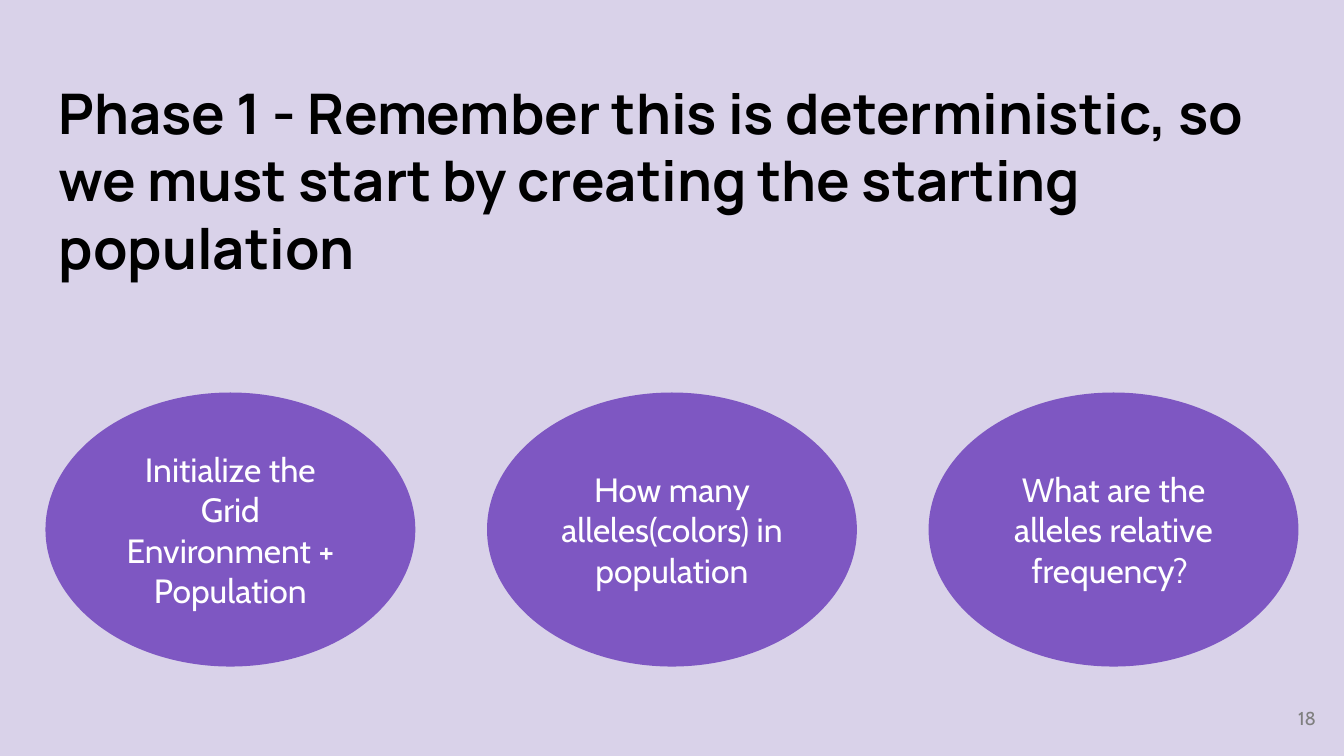
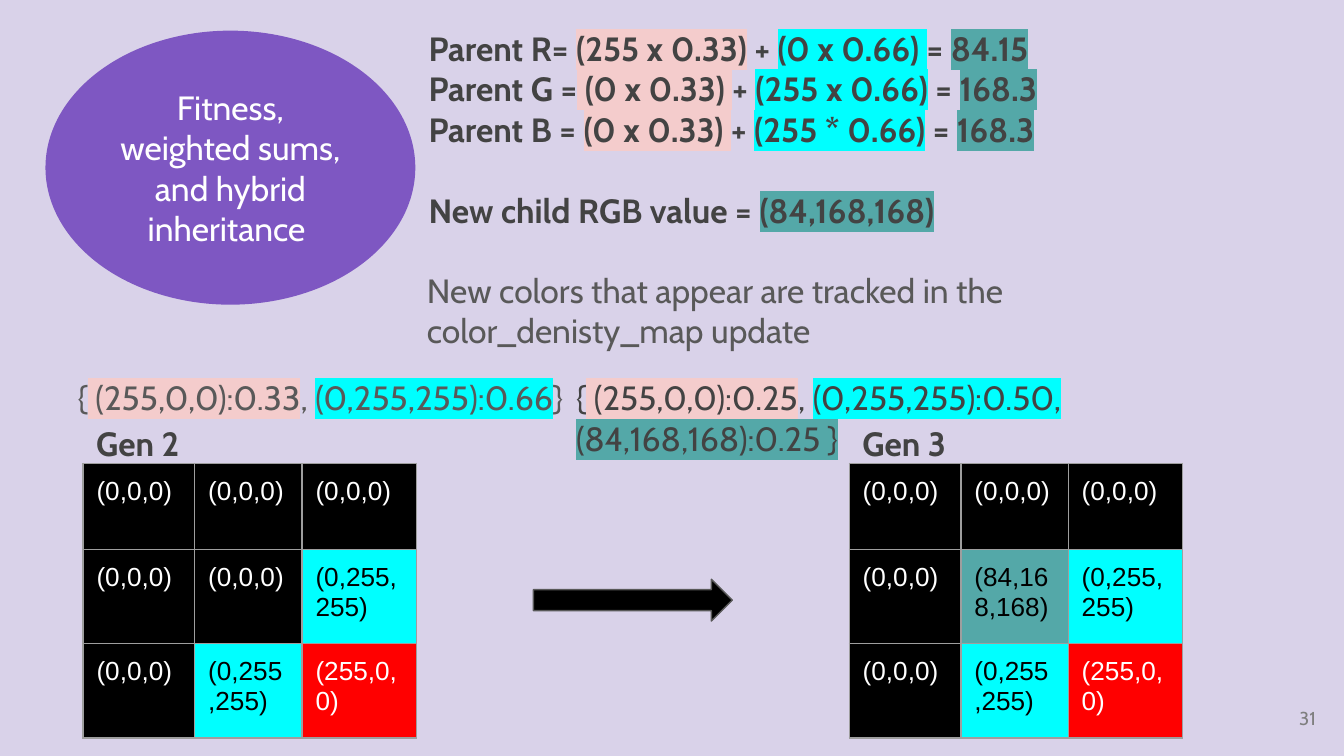
from dataclasses import dataclass

from lxml.etree import SubElement
from pptx import Presentation
from pptx.dml.color import RGBColor
from pptx.enum.shapes import MSO_SHAPE
from pptx.enum.text import MSO_ANCHOR, PP_ALIGN
from pptx.oxml import parse_xml
from pptx.oxml.ns import nsdecls, qn
from pptx.util import Cm, Pt


@dataclass(frozen=True)
class Theme:
    background: str = "D9D2E9"
    bubble: str = "7E57C2"
    white: str = "FFFFFF"
    black: str = "000000"
    dark: str = "434343"
    grey: str = "595959"
    page_grey: str = "7F7F7F"
    grid_line: str = "9E9E9E"
    pink: str = "F4CCCC"
    cyan: str = "00FFFF"
    teal: str = "54A8A8"
    title_font: str = "Manrope"
    body_font: str = "Cabin"
    cell_font: str = "Arial"
    title_size: int = 30
    body_size: int = 18
    cell_size: int = 14
    page_size: int = 10


THEME = Theme()
PINK, CYAN, TEAL = THEME.pink, THEME.cyan, THEME.teal

# Content: a paragraph is a list of (text, highlight) runs
TITLE = ("Phase 1 - Remember this is deterministic, so we must start by "
         "creating the starting population")
PHASE_STEPS = [
    "Initialize the Grid Environment + Population",
    "How many alleles(colors) in population",
    "What are the alleles relative frequency? ",
]
INHERITANCE = "Fitness, weighted sums, and hybrid inheritance "
PARENT_SUMS = [
    [("Parent R= ", None), ("(255 x 0.33)", PINK), (" + ", None),
     ("(0 x 0.66) ", CYAN), ("= ", None), ("84.15", TEAL)],
    [("Parent G =", None), (" (0 x 0.33) ", PINK), ("+ ", None),
     ("(255 x 0.66)", CYAN), (" = ", None), ("168.3", TEAL)],
    [("Parent B = ", None), ("(0 x 0.33) ", PINK), ("+ ", None),
     ("(255 * 0.66)", CYAN), (" = ", None), ("168.3", TEAL)],
    [("New child RGB value = ", None), ("(84,168,168)", TEAL)],
]
TRACKING_NOTE = "New colors that appear are tracked in the color_denisty_map update"
DENSITY_BEFORE = [("{", None), (" (255,0,0):0.33", PINK), (", ", None),
                  ("(0,255,255):0.66", CYAN), ("}", None)]
DENSITY_AFTER = [("{", None), (" (255,0,0):0.25", PINK), (", ", None),
                 ("(0,255,255):0.50,", CYAN), (" ", None),
                 ("(84,168,168):0.25 }", TEAL), (" ", None)]

EMPTY, AQUA, RED, CHILD = (0, 0, 0), (0, 255, 255), (255, 0, 0), (84, 168, 168)
GENERATIONS = [  # label, left edge in cm, colours of the grid
    ("Gen 2", 1.57, [[EMPTY, EMPTY, EMPTY], [EMPTY, EMPTY, AQUA], [EMPTY, AQUA, RED]]),
    ("Gen 3", 16.05, [[EMPTY, EMPTY, EMPTY], [EMPTY, CHILD, AQUA], [EMPTY, AQUA, RED]]),
]

# Layout in cm
SLIDE_WIDTH, SLIDE_HEIGHT = 25.4, 14.29
MARGIN = 0.86
INSET = Cm(0.25)
BUBBLE_WIDTH, BUBBLE_HEIGHT = 6.99, 5.18
GRID_TOP = 8.76
COLUMN_WIDTHS = [2.11, 2.03, 2.16]
ROW_HEIGHTS = [1.63, 1.78, 1.78]


def add_run(paragraph, text, color, size=THEME.body_size, font=THEME.body_font,
            bold=False, highlight=None):
    run = paragraph.add_run()
    run.text = text
    run.font.size = Pt(size)
    run.font.bold = bold
    run.font.name = font
    run.font.color.rgb = RGBColor.from_string(color)
    if highlight:
        mark = parse_xml(f'<a:highlight {nsdecls("a")}>'
                         f'<a:srgbClr val="{highlight}"/></a:highlight>')
        run._r.get_or_add_rPr().find(qn("a:solidFill")).addnext(mark)


def set_frame(frame, anchor):
    frame.word_wrap = True
    frame.vertical_anchor = anchor
    frame.margin_top = frame.margin_bottom = INSET


def add_text(slide, box, paragraphs, color, align=PP_ALIGN.LEFT,
             anchor=MSO_ANCHOR.TOP, **style):
    """Add a text box; each paragraph is a plain string or a list of runs."""
    frame = slide.shapes.add_textbox(*map(Cm, box)).text_frame
    set_frame(frame, anchor)
    for index, runs in enumerate(paragraphs):
        paragraph = frame.add_paragraph() if index else frame.paragraphs[0]
        paragraph.alignment = align
        for text, highlight in [(runs, None)] if isinstance(runs, str) else runs:
            add_run(paragraph, text, color, highlight=highlight, **style)
    return frame


def add_filled_shape(slide, kind, box, fill):
    shape = slide.shapes.add_shape(kind, *map(Cm, box))
    shape.shadow.inherit = False
    shape.fill.solid()
    shape.fill.fore_color.rgb = RGBColor.from_string(fill)
    shape.line.fill.background()
    return shape


def add_bubble(slide, left, top, text):
    box = (left, top, BUBBLE_WIDTH, BUBBLE_HEIGHT)
    frame = add_filled_shape(slide, MSO_SHAPE.OVAL, box, THEME.bubble).text_frame
    set_frame(frame, MSO_ANCHOR.MIDDLE)
    frame.paragraphs[0].alignment = PP_ALIGN.CENTER
    add_run(frame.paragraphs[0], text, THEME.white)


def add_borders(cell):
    properties = cell._tc.get_or_add_tcPr()
    for index, side in enumerate(("lnL", "lnR", "lnT", "lnB")):
        line = SubElement(properties, qn(f"a:{side}"), w=str(Pt(0.75)))
        fill = SubElement(line, qn("a:solidFill"))
        SubElement(fill, qn("a:srgbClr"), val=THEME.grid_line)
        properties.insert(index, line)


def add_color_grid(slide, left, grid):
    """Draw a table in which each cell is filled with the colour it names."""
    table = slide.shapes.add_table(
        len(grid), len(grid[0]), Cm(left), Cm(GRID_TOP),
        Cm(sum(COLUMN_WIDTHS)), Cm(sum(ROW_HEIGHTS))).table
    table.first_row = table.horz_banding = False
    for column, width in zip(table.columns, COLUMN_WIDTHS):
        column.width = Cm(width)
    for row, height, colors in zip(table.rows, ROW_HEIGHTS, grid):
        row.height = Cm(height)
        for cell, color in zip(row.cells, colors):
            cell.fill.solid()
            cell.fill.fore_color.rgb = RGBColor(*color)
            cell.margin_top = cell.margin_bottom = INSET
            add_borders(cell)
            has_green = color[1] > 0
            add_run(cell.text_frame.paragraphs[0], "({},{},{})".format(*color),
                    THEME.black if has_green else THEME.white,
                    size=THEME.cell_size, font=THEME.cell_font)


def add_slide(presentation, number):
    slide = presentation.slides.add_slide(presentation.slide_layouts[6])
    slide.background.fill.solid()
    slide.background.fill.fore_color.rgb = RGBColor.from_string(THEME.background)
    add_text(slide, (23.6, 13.03, 1.52, 1.09), [str(number)], THEME.page_grey,
             align=PP_ALIGN.RIGHT, anchor=MSO_ANCHOR.MIDDLE, size=THEME.page_size)
    return slide


def build_phase_slide(presentation):
    slide = add_slide(presentation, 18)
    content_width = SLIDE_WIDTH - 2 * MARGIN
    add_text(slide, (MARGIN, 1.24, content_width, 1.73), [TITLE], THEME.black,
             size=THEME.title_size, font=THEME.title_font, bold=True)
    step = (content_width - BUBBLE_WIDTH) / (len(PHASE_STEPS) - 1)
    for index, text in enumerate(PHASE_STEPS):
        add_bubble(slide, MARGIN + index * step, 7.42, text)


def build_inheritance_slide(presentation):
    slide = add_slide(presentation, 31)
    sums = add_text(slide, (7.85, 0.28, 16.66, 4.57), PARENT_SUMS, THEME.dark, bold=True)
    sums.paragraphs[-1].space_before = Pt(21.7)
    add_bubble(slide, MARGIN, 0.58, INHERITANCE)
    arrow = add_filled_shape(slide, MSO_SHAPE.RIGHT_ARROW,
                             (10.08, 10.95, 3.76, 0.79), THEME.black)
    arrow.line.color.rgb = RGBColor.from_string(THEME.grey)
    arrow.line.width = Pt(0.75)
    add_text(slide, (1.22, 6.88, 9.83, 2.06), [DENSITY_BEFORE], THEME.grey)
    add_text(slide, (10.64, 6.88, 14.2, 2.06), [DENSITY_AFTER], THEME.dark)
    for label, left, grid in GENERATIONS:
        add_text(slide, (left, 7.75, 2.51, 1.27), [label], THEME.dark, bold=True)
        add_color_grid(slide, left, grid)
    add_text(slide, (7.82, 4.85, 16.76, 0.79), [TRACKING_NOTE], THEME.grey)


def main():
    presentation = Presentation()
    presentation.slide_width = Cm(SLIDE_WIDTH)
    presentation.slide_height = Cm(SLIDE_HEIGHT)
    build_phase_slide(presentation)
    build_inheritance_slide(presentation)
    presentation.save("out.pptx")


if __name__ == "__main__":
    main()
